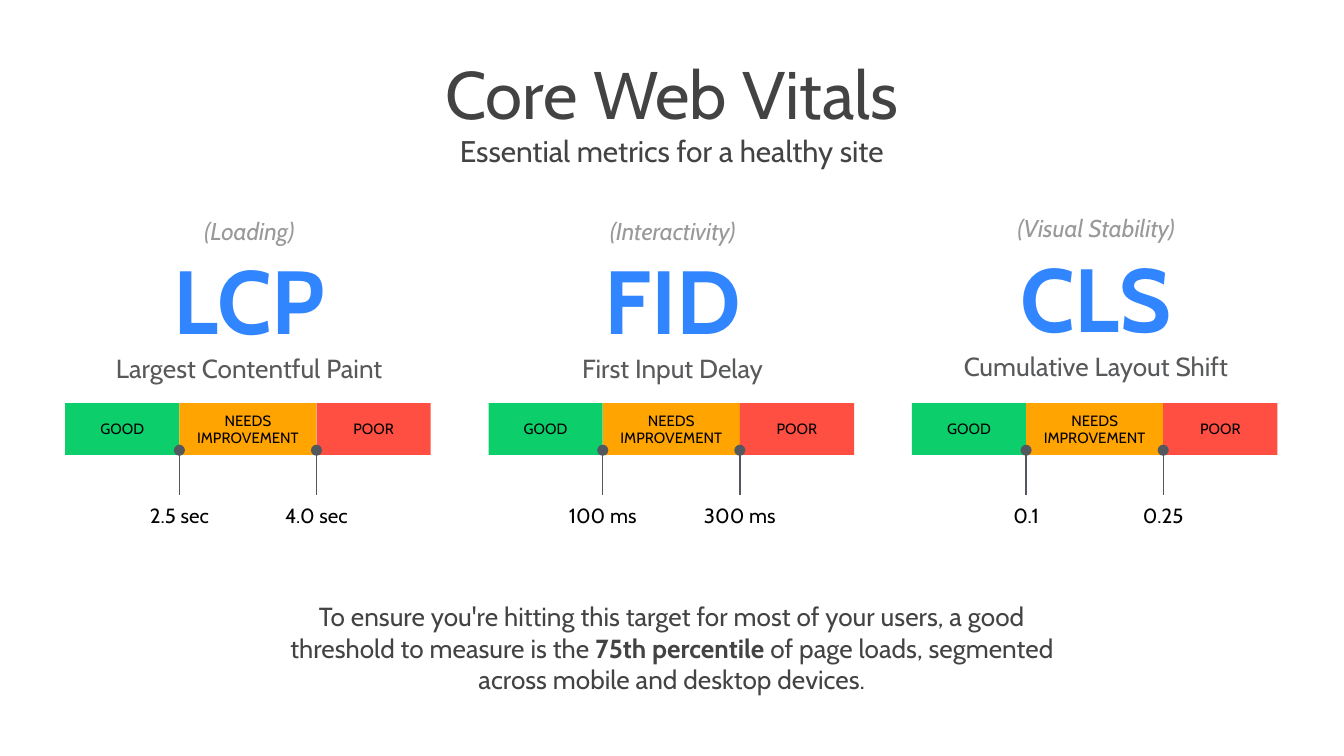
from dataclasses import dataclass

from lxml import etree
from pptx import Presentation, util as u
from pptx.dml.color import RGBColor
from pptx.enum import shapes, text
from pptx.oxml import ns

PX = 4572


@dataclass(frozen=True)
class Theme:
    """Hold the font, colours and type sizes of the slide."""
    font: str = "Cabin"
    heading: str = "434343"
    category: str = "999999"
    accent: str = "3185FF"
    caption: str = "58595B"
    marker: str = "53585F"
    ink: str = "000000"
    good: str = "0CCE6B"
    fair: str = "FFA400"
    poor: str = "FF4E42"
    title_size: int = 36
    subtitle_size: int = 16
    body_size: int = 14
    category_size: int = 13
    acronym_size: int = 48
    band_size: int = 8
    threshold_size: int = 11


THEME = Theme()


def px(*lengths):
    """Turn whole px lengths into EMU."""
    return [u.Emu(length * PX) for length in lengths]


def write(paragraph, words, size, color, bold=False, italic=False):
    """Add one formatted run to a centred paragraph."""
    paragraph.alignment = text.PP_ALIGN.CENTER
    run = paragraph.add_run()
    run.text = words
    run.font.name = THEME.font
    run.font.size = u.Pt(size)
    run.font.color.rgb = RGBColor.from_string(color)
    run.font.bold = bold
    run.font.italic = italic


def set_frame(frame, inset, anchor):
    """Set wrapping, insets and anchor, and return the frame."""
    frame.word_wrap = True
    frame.vertical_anchor = anchor
    frame.margin_left, frame.margin_top, frame.margin_right, frame.margin_bottom = px(*[inset] * 4)
    return frame


def add_text(parent, box, inset=20, anchor=text.MSO_ANCHOR.MIDDLE):
    """Add an empty text box and return its frame."""
    return set_frame(parent.add_textbox(*px(*box)).text_frame, inset, anchor)


def add_band(parent, box, label, color):
    """Add one coloured band of a rating bar."""
    band = parent.add_shape(shapes.MSO_SHAPE.RECTANGLE, *px(*box))
    band.shadow.inherit = False
    band.fill.solid()
    band.fill.fore_color.rgb = RGBColor.from_string(color)
    band.line.fill.background()
    frame = set_frame(band.text_frame, 0, text.MSO_ANCHOR.MIDDLE)
    write(frame.paragraphs[0], label, THEME.band_size, THEME.ink)


def add_marker(parent, x, top, bottom):
    """Add a vertical threshold line with a dot at its top."""
    marker = parent.add_connector(shapes.MSO_CONNECTOR.STRAIGHT, *px(x, top, x, bottom))
    marker.line.color.rgb = RGBColor.from_string(THEME.marker)
    marker.line.width = u.Pt(0.75)
    etree.SubElement(marker.line._get_or_add_ln(), ns.qn("a:headEnd"), type="oval")
    etree.SubElement(marker._element.spPr, ns.qn("a:effectLst"))


def add_header(parent, box):
    """Place the title and subtitle."""
    frame = add_text(parent, box)
    write(frame.paragraphs[0], "Core Web Vitals", THEME.title_size, THEME.heading)
    subtitle = frame.add_paragraph()
    subtitle.space_after = u.Pt(6)
    write(subtitle, "Essential metrics for a healthy site", THEME.subtitle_size, THEME.heading)


def add_metric(parent, box, category, acronym, meaning, thresholds, rise=0):
    """Place one metric: its names, rating bar and two thresholds."""
    left, top, width, height = box
    metric = parent.add_group_shape().shapes

    names = add_text(metric, (left + 18, top - rise, 512, 250))
    write(names.paragraphs[0], category, THEME.category_size, THEME.category, italic=True)
    write(names.add_paragraph(), acronym, THEME.acronym_size, THEME.accent, bold=True)
    write(names.add_paragraph(), meaning, THEME.body_size, THEME.caption)

    side = 170
    middle = width - 2 * side
    bar_top = top + 279
    x = left
    for label, color, band_width in (
        ("GOOD", THEME.good, side),
        ("NEEDS IMPROVEMENT", THEME.fair, middle),
        ("POOR", THEME.poor, side),
    ):
        add_band(metric, (x, bar_top, band_width, 77), label, color)
        x += band_width

    for edge, threshold in zip((left + side, left + side + middle), thresholds):
        add_marker(metric, edge, bar_top + 70, bar_top + 137)
        label = add_text(metric, (edge - 74, top + height - 48, 148, 48), 0, text.MSO_ANCHOR.TOP)
        write(label.paragraphs[0], threshold, THEME.threshold_size, THEME.ink)


def add_footer(parent, box):
    """Place the closing advice with its bold phrase."""
    advice = add_text(parent, box, anchor=text.MSO_ANCHOR.TOP).paragraphs[0]
    for words, bold in (
        ("To ensure you're hitting this target for most of your users, a good "
         "threshold to measure is the ", False),
        ("75th percentile", True),
        (" of page loads, segmented across mobile and desktop devices.", False),
    ):
        write(advice, words, THEME.body_size, THEME.heading, bold=bold)


def main():
    """Build the slide and save it."""
    deck = Presentation()
    deck.slide_width, deck.slide_height = px(2000, 1125)
    canvas = deck.slides.add_slide(deck.slide_layouts[6]).shapes

    add_header(canvas, (239, 44, 1522, 240))
    add_footer(canvas, (377, 874, 1246, 208))
    metrics = (
        ("(Loading)", "LCP", "Largest Contentful Paint", ("2.5 sec", "4.0 sec")),
        ("(Interactivity)", "FID", "First Input Delay", ("100 ms", "300 ms")),
        ("(Visual Stability)", "CLS", "Cumulative Layout Shift", ("0.1", "0.25"), 3),
    )
    for column, metric in enumerate(metrics):
        add_metric(canvas, (97 + 630 * column, 321, 544, 476), *metric)

    deck.save("out.pptx")


if __name__ == "__main__":
    main()
